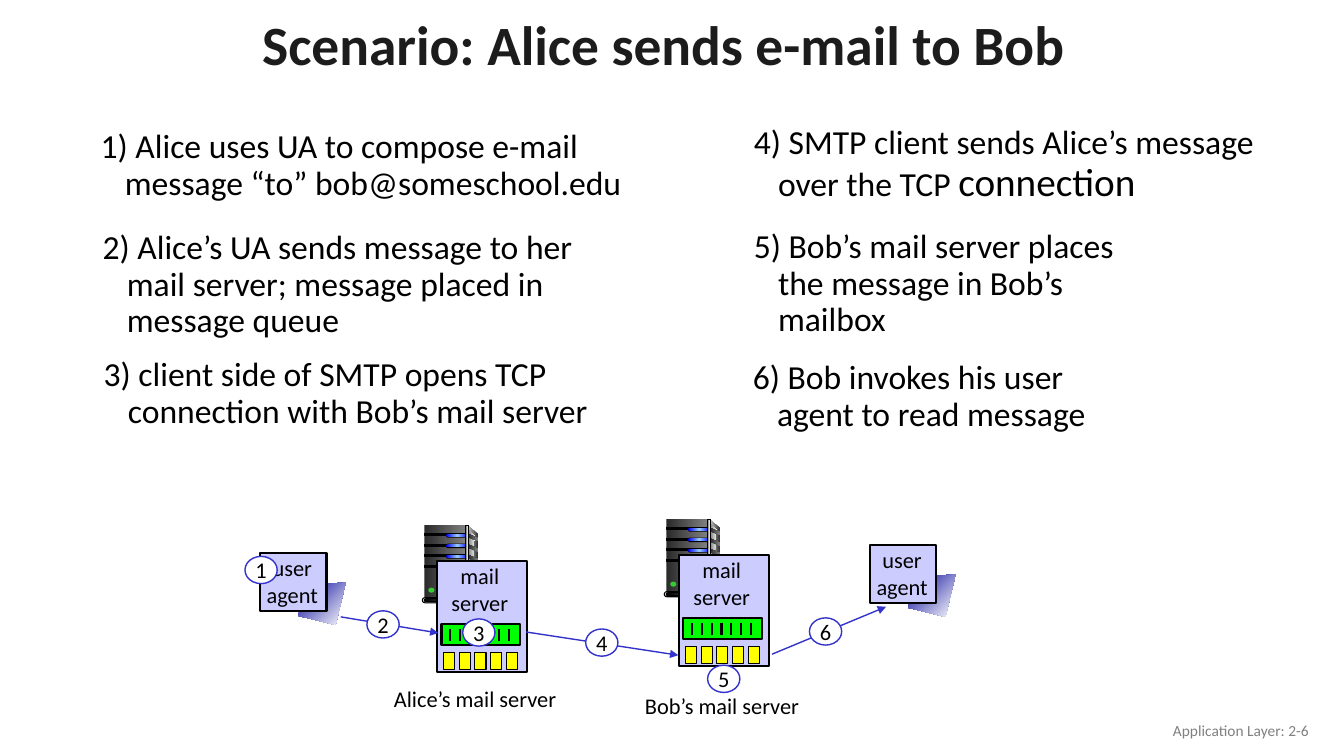
from copy import deepcopy

from pptx import Presentation
from pptx.dml.color import RGBColor as RGB
from pptx.enum.shapes import MSO_CONNECTOR as LINK, MSO_SHAPE as KIND
from pptx.enum.text import MSO_ANCHOR as ANCHOR, PP_ALIGN as ALIGN
from pptx.oxml.ns import qn
from pptx.oxml.xmlchemy import OxmlElement as Node
from pptx.util import Inches, Pt

WIDE, HIGH = Inches(13.33), Inches(7.5)
COLS, ROWS = 160, 90
FONT = "Calibri"

BLACK = RGB(0, 0, 0)
WHITE = RGB(255, 255, 255)
INK = RGB(0x1C, 0x1C, 0x1C)
GRAY = RGB(0x80, 0x80, 0x80)
PALE = RGB(0xDD, 0xDD, 0xDD)
DARK = RGB(0x33, 0x33, 0x33)
COAL = RGB(0x29, 0x29, 0x29)
SNOW = RGB(0xF8, 0xF8, 0xF8)
LILAC = RGB(0xCC, 0xCC, 0xFF)
NAVY = RGB(0, 0, 0x99)
BLUE = RGB(0, 0, 0xFF)
SKY = RGB(0x99, 0xCC, 0xFF)
ARROW = RGB(0x33, 0x33, 0xCC)
LIME = RGB(0, 0xFF, 0)
GREEN = RGB(0x33, 0xCC, 0x33)
RED = RGB(0xFF, 0, 0)
YELLOW = RGB(0xFF, 0xFF, 0)

METAL = [COAL, GRAY]
GLOW = [BLUE, SKY, BLUE]

# Left, top, width, height in grid cells, then the text and its larger end
STEPS = [
    (9, 14.88, 66.6, 15.12, "1) Alice uses UA to compose e-mail message “to” bob@someschool.edu", ""),
    (9.24, 26.88, 66.6, 14.52, "2) Alice’s UA sends message to her mail server; message placed in message queue", ""),
    (9.36, 42, 71.52, 14.28, "3) client side of SMTP opens TCP connection with Bob’s mail server", ""),
    (86.76, 14.4, 66.6, 12.36, "4) SMTP client sends Alice’s message over the TCP ", "connection"),
    (86.76, 26.76, 50.04, 10.92, "5) Bob’s mail server places the message in Bob’s mailbox", ""),
    (86.64, 42.36, 50.04, 10.92, "6) Bob invokes his user agent to read message", ""),
]
AGENTS = [(30.96, 65.88), (103.56, 64.92)]
SERVERS = [(52.08, 66.84), (80.88, 66.12)]
ROUTES = [
    (40.56, 73.44, 52.2, 75.36),
    (62.64, 75.24, 80.76, 78),
    (91.92, 77.88, 105.48, 72.24),
]
BADGES = [(29.16, 66.24), (43.68, 72.72), (55.08, 73.68),
          (69.72, 74.88), (84.24, 79.2), (96.36, 73.56)]
LABELS = [
    (45.72, 81, 22.8, 4.44, "Alice’s mail server"),
    (75.6, 81.84, 21.84, 4.44, "Bob’s mail server"),
]


def col(n):
    return round(WIDE * n / COLS)


def row(n):
    return round(HIGH * n / ROWS)


def place(x, y, w, h):
    return col(x), row(y), col(w), row(h)


def paint(shape, fill, line=None, angle=0):
    """Fill with one colour, or with a gradient when fill is a list."""
    shape.shadow.inherit = False
    if isinstance(fill, list):
        shape.fill.gradient()
        shape.fill.gradient_angle = angle
        stops = shape._element.spPr.find(".//" + qn("a:gsLst"))
        for _ in fill[2:]:
            stops.append(deepcopy(stops[0]))
        for i, stop in enumerate(shape.fill.gradient_stops):
            stop.color.rgb = fill[i]
            stop.position = i / (len(fill) - 1)
    else:
        shape.fill.solid()
        shape.fill.fore_color.rgb = fill
    if line:
        shape.line.color.rgb, shape.line.width = line[0], Pt(line[1])
    else:
        shape.line.fill.background()


def block(shapes, kind, box, fill, line=None):
    shape = shapes.add_shape(kind, *place(*box))
    if kind == KIND.ROUNDED_RECTANGLE:
        shape.adjustments[0] = 0.5
    paint(shape, fill, line)
    return shape


def outline(shapes, x, y, points, fill, angle=0):
    spots = [(col(x + dx), row(y + dy)) for dx, dy in points]
    path = shapes.build_freeform(*spots[0], scale=1)
    path.add_line_segments(spots[1:], close=True)
    paint(path.convert_to_shape(), fill, angle=angle)


def wire(shapes, ends, color, size, head=False):
    x1, y1, x2, y2 = ends
    line = shapes.add_connector(LINK.STRAIGHT, col(x1), row(y1), col(x2), row(y2))
    line.line.color.rgb, line.line.width = color, Pt(size)
    if head:
        tip = Node("a:tailEnd")
        tip.set("type", "triangle")
        line.line._get_or_add_ln().append(tip)
    line._element.spPr.append(Node("a:effectLst"))


def write(frame, text, size, color=BLACK, align=ALIGN.LEFT, wrap=True,
          anchor=ANCHOR.TOP, bold=False):
    frame.text = text
    frame.word_wrap, frame.vertical_anchor = wrap, anchor
    for para in frame.paragraphs:
        para.alignment = align
        for run in para.runs:
            style(run, size, color, bold)


def style(run, size, color=BLACK, bold=False):
    font = run.font
    font.name, font.size, font.bold = FONT, Pt(size), bold
    font.color.rgb = color


def label(shapes, box, text, size, **look):
    frame = shapes.add_textbox(*place(*box)).text_frame
    write(frame, text, size, **look)
    return frame


def step(shapes, x, y, w, h, text, big):
    para = label(shapes, (x, y, w, h), text, 24).paragraphs[0]
    para.line_spacing = 0.9
    props = para._p.get_or_add_pPr()
    props.set("marL", str(Inches(0.39)))
    props.set("indent", str(-Inches(0.24)))
    if big:
        run = para.add_run()
        run.text = big
        style(run, 28)


def agent(shapes, x, y):
    group = shapes.add_group_shape().shapes
    screen = [(10.2, 3.48), (5.4, 3.72), (4.56, 7.44), (9, 8.52)]
    outline(group, x, y, screen, [NAVY, WHITE], angle=315)
    block(group, KIND.RECTANGLE, (x, y, 7.92, 6.84), LILAC, (BLACK, 1.5))
    label(group, (x - 0.48, y - 0.48, 8.64, 7.68), "user\nagent", 16,
          align=ALIGN.CENTER, wrap=False)


def tower(shapes, x, y):
    """Rack computer with its drive bays, front strip and foot."""
    group = shapes.add_group_shape().shapes
    thin = (BLACK, 0.75)
    rect, pill = KIND.RECTANGLE, KIND.ROUNDED_RECTANGLE
    outline(group, x, y, [(5.5, 0.1), (6.6, 1.1), (6.6, 8.4), (5.3, 8.8)], [PALE, DARK])
    block(group, rect, (x + 0.24, y, 4.92, 8.64), METAL)
    outline(group, x, y, [(5.5, 0.6), (6.3, 1.3), (5.5, 8.5)], [GRAY, SNOW])
    for i in range(4):
        top = y + 1.05 + 1.25 * i
        block(group, rect, (x + 0.3, top, 2.76, 0.2), BLACK, thin)
        if i < 3:
            block(group, pill, (x + 2.8, top - 0.1, 2.76, 0.55), BLACK)
            block(group, pill, (x + 2.86, top, 2.64, 0.36), GLOW)
            outline(group, x, top, [(5.5, 0), (6.6, 0.5), (6.6, 0.85), (5.5, 0.4)], METAL)
    block(group, rect, (x + 5.16, y, 0.36, 8.64), [DARK, PALE, DARK], thin)
    block(group, pill, (x, y + 8.64, 5.64, 0.6), PALE, thin)
    block(group, pill, (x + 0.24, y + 8.76, 5.04, 0.36), [BLACK, GRAY], thin)
    for dx, color in ((0.72, GREEN), (1.56, RED)):
        block(group, KIND.OVAL, (x + dx, y + 7.44, 0.72, 0.6), color)


def server(shapes, x, y):
    """Mail server box with its message queue and five mailboxes."""
    tower(shapes, x - 1.8, y - 4.32)
    group = shapes.add_group_shape().shapes
    edge = (BLACK, 1.5)
    block(group, KIND.RECTANGLE, (x, y, 10.68, 13.2), LILAC, edge)
    label(group, (x + 0.42, y - 0.48, 9.24, 7.68), "mail\nserver", 16,
          align=ALIGN.CENTER, wrap=False)
    block(group, KIND.RECTANGLE, (x + 0.48, y + 7.44, 9.36, 2.52), LIME, edge)
    for i in range(7):
        mark = x + 1.5 + 1.17 * i
        wire(group, (mark, y + 8, mark, y + 9.48), BLACK, 1.5)
    for i in range(5):
        block(group, KIND.RECTANGLE, (x + 0.7 + 1.88 * i, y + 10.9, 1.32, 1.92),
              YELLOW, (BLACK, 0.75))


def badge(shapes, x, y, number):
    disc = block(shapes, KIND.OVAL, (x, y, 3.84, 3.24), WHITE, (ARROW, 1))
    write(disc.text_frame, str(number), 16, align=ALIGN.CENTER, wrap=False,
          anchor=ANCHOR.MIDDLE)


def main():
    deck = Presentation()
    deck.slide_width, deck.slide_height = WIDE, HIGH
    shapes = deck.slides.add_slide(deck.slide_layouts[6]).shapes
    title = label(shapes, (10, 1.56, 138, 8.28), "Scenario: Alice sends e-mail to Bob",
                  39.6, color=INK, align=ALIGN.CENTER, anchor=ANCHOR.MIDDLE, bold=True)
    title.paragraphs[0].line_spacing = 0.9
    label(shapes, (121, 84.6, 36, 4.8), "Application Layer: 2-6", 11, color=GRAY,
          align=ALIGN.RIGHT, anchor=ANCHOR.MIDDLE)
    for item in STEPS:
        step(shapes, *item)
    for spot in AGENTS:
        agent(shapes, *spot)
    for spot in SERVERS:
        server(shapes, *spot)
    for ends in ROUTES:
        wire(shapes, ends, ARROW, 1, head=True)
    for number, spot in enumerate(BADGES, 1):
        badge(shapes, *spot, number)
    for *box, text in LABELS:
        label(shapes, box, text, 16)
    deck.save("out.pptx")


if __name__ == "__main__":
    main()
